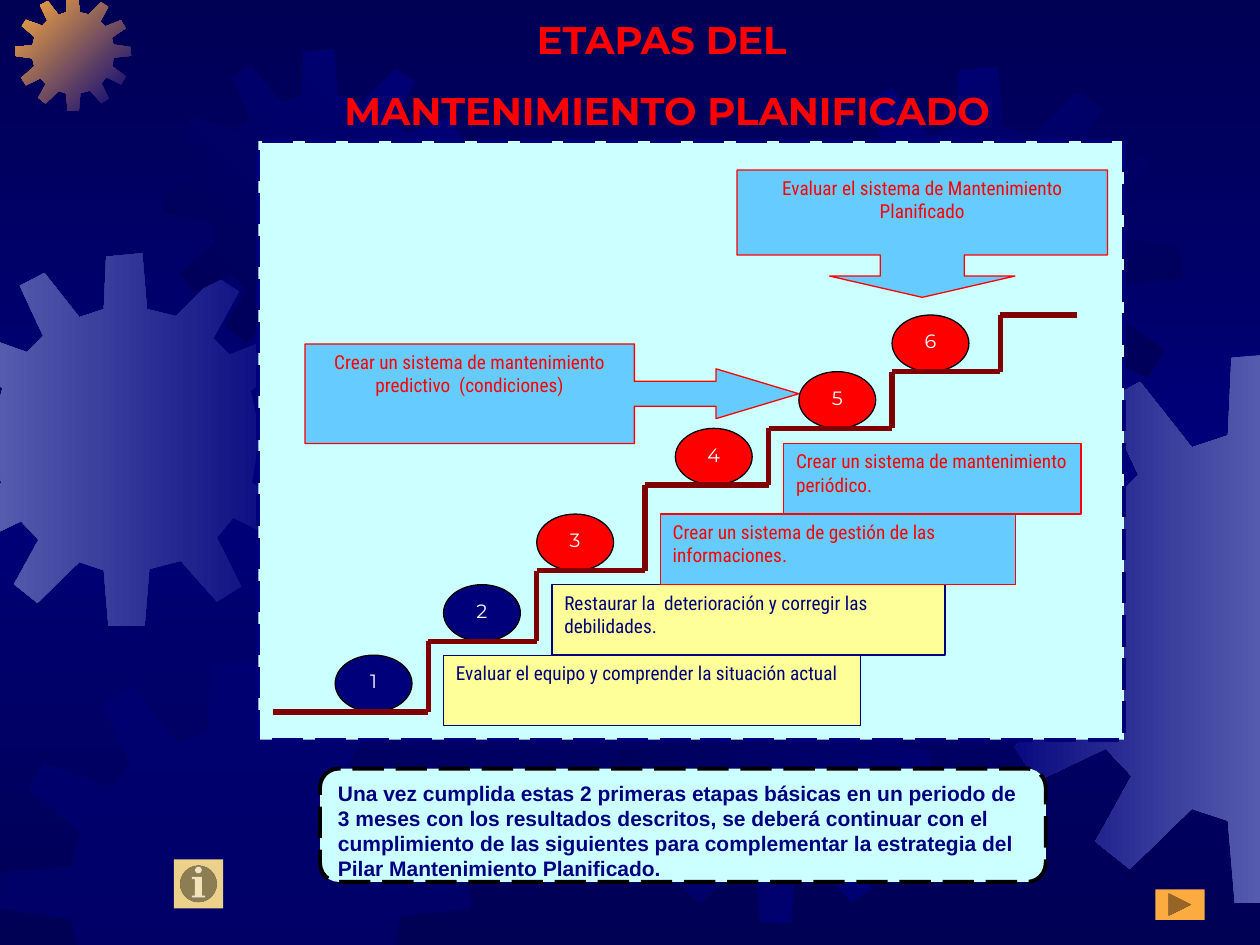
from copy import deepcopy
from dataclasses import dataclass
from itertools import pairwise

from lxml import etree
from pptx import Presentation
from pptx import util as u
from pptx.dml.color import RGBColor
from pptx.enum import dml, shapes, text
from pptx.oxml import ns


@dataclass(frozen=True)
class Theme:
    night: str = "000054"
    navy: str = "00007A"
    ink: str = "000080"
    haze: str = "555BAD"
    orange: str = "FCAB40"
    sand: str = "EBD189"
    ice: str = "CCFFFF"
    sky: str = "66CCFF"
    cream: str = "FFFF99"
    red: str = "FF0000"
    maroon: str = "800000"
    black: str = "000000"
    white: str = "FFFFFF"
    head: str = "Montserrat"
    label: str = "Roboto Condensed"
    body: str = "Arial"
    title_size: float = 22
    label_size: float = 11
    note_size: float = 12
    title_gap: float = 13.8


T = Theme()
KIND = shapes.MSO_SHAPE
GEAR_SIZE = 320
GEAR = [
    (203, 54), (178, 48), (174, 0), (143, 3), (141, 48), (120, 55), (90, 17), (69, 28),
    (89, 71), (75, 85), (30, 69), (19, 86), (54, 116), (48, 139), (1, 143), (0, 168),
    (48, 175), (53, 197), (17, 229), (30, 249), (70, 230), (85, 246), (64, 284), (84, 300),
    (120, 265), (141, 272), (145, 320), (176, 320), (180, 271), (207, 264), (238, 299), (259, 286),
    (238, 244), (252, 227), (293, 247), (306, 225), (268, 197), (272, 173), (320, 168), (319, 144),
    (271, 137), (267, 118), (305, 92), (292, 70), (249, 87), (235, 73), (257, 33), (237, 20),
]
GEARS = [
    (-0.48, 2.01, 2.96, (T.navy, T.haze), 180),
    (0.12, -0.04, 0.92, (T.navy, T.orange), 225),
    (1.3, 0.39, 2.48, (T.navy, T.night), 135),
    (0, 5.25, 3.74, (T.navy,), 0),
    (4.91, 4.84, 2.48, (T.navy, T.night), 225),
    (6.18, 0.53, 3.2, (T.night, T.navy), 225),
    (7.82, 2.8, 4.37, (T.haze, T.navy), 180),
]
STEP_X = [2.17, 3.4, 4.26, 5.12, 6.1, 7.08, 7.94, 8.55]
STEP_Y = [5.65, 5.09, 4.53, 3.85, 3.4, 2.95, 2.5]
BALL_X = [2.66, 3.52, 4.26, 5.36, 6.34, 7.08]
BALL_W, BALL_H = 0.61, 0.45
LABEL_H, LABEL_GAP, LABEL_TOP = 0.56, 0.12, 5.2
LABELS = [
    ("Evaluar el equipo y comprender la situación actual", 3.31, T.cream, T.navy),
    ("Restaurar la  deterioración y corregir las debilidades.", 3.12, T.cream, T.navy),
    ("Crear un sistema de gestión de las informaciones.", 2.82, T.sky, T.red),
    ("Crear un sistema de mantenimiento periódico.", 2.36, T.sky, T.red),
]
CALLOUTS = [
    ("Crear un sistema de mantenimiento predictivo  (condiciones)",
     KIND.RIGHT_ARROW_CALLOUT, (2.42, 2.73, 3.92, 0.79), (0.25, 0.25, 0.832, 0.667)),
    ("Evaluar el sistema de Mantenimiento Planificado",
     KIND.DOWN_ARROW_CALLOUT, (5.85, 1.35, 2.94, 1.01), (0.661, 0.728, 0.167, 0.667)),
]


def rgb(color):
    return RGBColor.from_string(color)


def paint(fill, colors, angle):
    fill.gradient()
    stops = fill.gradient_stops
    for stop, color in zip(stops, colors):
        stop.color.rgb = rgb(color)
    fill.gradient_angle = (360 - angle) % 360


def write(p, content, font, size, color, bold=False, align=text.PP_ALIGN.LEFT):
    p.text = content
    p.alignment = align
    p.font.name, p.font.size, p.font.bold = font, u.Pt(size), bold
    p.font.color.rgb = rgb(color)


def add_box(s, kind, box, fill, line=None, weight=0.75, dash=None):
    sp = s.shapes.add_shape(kind, *map(u.Inches, box))
    sp.shadow.inherit = False
    sp.fill.solid()
    sp.fill.fore_color.rgb = rgb(fill)
    if line:
        sp.line.color.rgb = rgb(line)
        sp.line.width = u.Pt(weight)
        sp.line.dash_style = dash
    else:
        sp.line.fill.background()
    tf = sp.text_frame
    tf.word_wrap = True
    tf.vertical_anchor = text.MSO_ANCHOR.TOP
    return sp


def clip(points, axis, limit, sign):
    kept = []
    for a, b in pairwise(points + points[:1]):
        da, db = sign * (limit - a[axis]), sign * (limit - b[axis])
        if da >= 0:
            kept.append(a)
        if da * db < 0:
            t = da / (da - db)
            kept.append(tuple(m + t * (n - m) for m, n in zip(a, b)))
    return kept


def add_gear(s, left, top, size, colors, angle):
    scale = size / GEAR_SIZE
    points = [(left + x * scale, top + y * scale) for x, y in GEAR]
    for axis, limit, sign in ((0, 0, -1), (0, 10, 1), (1, 0, -1), (1, 7.5, 1)):
        points = clip(points, axis, limit, sign)
    start, *rest = [tuple(map(u.Inches, point)) for point in points]
    builder = s.shapes.build_freeform(*start)
    builder.add_line_segments(rest, close=True)
    sp = builder.convert_to_shape()
    sp.shadow.inherit = False
    sp.line.fill.background()
    if len(colors) > 1:
        paint(sp.fill, colors, angle)
    else:
        sp.fill.solid()
        sp.fill.fore_color.rgb = rgb(colors[0])
        tint = sp.fill._xPr.find(".//" + ns.qn("a:srgbClr"))
        etree.SubElement(tint, ns.qn("a:alpha"), val="50000")


def add_background(s):
    fill = s.background.fill
    paint(fill, (T.night, T.night), 90)
    stops = fill._fill._gradFill.find(ns.qn("a:gsLst"))
    stops.insert(1, deepcopy(stops[0]))
    middle = fill.gradient_stops[1]
    middle.position = 0.5
    middle.color.rgb = rgb(T.navy)
    for gear in GEARS:
        add_gear(s, *gear)


def add_stairs(s):
    corners = [(STEP_X[0], STEP_Y[0])]
    for i, y in enumerate(STEP_Y):
        corners.append((STEP_X[i + 1], y))
        if i + 1 < len(STEP_Y):
            corners.append((STEP_X[i + 1], STEP_Y[i + 1]))
    for a, b in pairwise(corners):
        line = s.shapes.add_connector(shapes.MSO_CONNECTOR.STRAIGHT, *map(u.Inches, a + b))
        line.line.color.rgb = rgb(T.maroon)
        line.line.width = u.Pt(3)
        etree.SubElement(line._element.spPr, ns.qn("a:effectLst"))


def add_diagram(s, box):
    center = text.PP_ALIGN.CENTER
    add_box(s, KIND.RECTANGLE, box, T.ice, T.navy, 2.25, dml.MSO_LINE.LONG_DASH)
    for i, (x, y) in enumerate(zip(BALL_X, STEP_Y)):
        sp = add_box(s, KIND.OVAL, (x, y - BALL_H, BALL_W, BALL_H),
                     T.navy if i < 2 else T.red, T.black)
        write(sp.text_frame.paragraphs[0], str(i + 1), T.head, T.label_size, T.white, align=center)
    add_stairs(s)
    for i, (content, width, fill, color) in enumerate(LABELS):
        spot = (STEP_X[i + 1] + LABEL_GAP, LABEL_TOP - i * LABEL_H, width, LABEL_H)
        sp = add_box(s, KIND.RECTANGLE, spot, fill, color)
        write(sp.text_frame.paragraphs[0], content, T.label, T.label_size, color)
    for content, kind, spot, adjustments in CALLOUTS:
        sp = add_box(s, kind, spot, T.sky, T.red)
        for i, value in enumerate(adjustments):
            sp.adjustments[i] = value
        write(sp.text_frame.paragraphs[0], content, T.label, T.label_size, T.red, align=center)


def add_note(s, box):
    sp = add_box(s, KIND.FLOWCHART_ALTERNATE_PROCESS, box, T.ice, T.black, 2.25,
                 dml.MSO_LINE.LONG_DASH)
    write(sp.text_frame.paragraphs[0],
          "Una vez cumplida estas 2 primeras etapas básicas en un periodo de 3 meses con los "
          "resultados descritos, se deberá continuar con el cumplimiento de las siguientes para "
          "complementar la estrategia del Pilar Mantenimiento Planificado.",
          T.body, T.note_size, T.ink, bold=True)


def add_title(s, box):
    sp = s.shapes.title
    sp.left, sp.top, sp.width, sp.height = map(u.Inches, box)
    s.shapes._spTree.append(sp._element)
    tf = sp.text_frame
    tf.vertical_anchor = text.MSO_ANCHOR.TOP
    tf.auto_size = text.MSO_AUTO_SIZE.NONE
    first, second = tf.paragraphs[0], tf.add_paragraph()
    for p, content in ((first, "ETAPAS DEL "), (second, "MANTENIMIENTO PLANIFICADO")):
        write(p, content, T.head, T.title_size, T.red, bold=True, align=text.PP_ALIGN.CENTER)
    second.space_before = u.Pt(T.title_gap)


def main():
    prs = Presentation()
    prs.slide_width, prs.slide_height = u.Inches(10), u.Inches(7.5)
    s = prs.slides.add_slide(prs.slide_layouts[5])
    add_background(s)
    add_box(s, KIND.ACTION_BUTTON_INFORMATION, (1.38, 6.82, 0.39, 0.39), T.sand)
    add_diagram(s, (2.05, 1.12, 6.87, 4.75))
    add_note(s, (2.54, 6.1, 5.76, 0.9))
    add_title(s, (0.67, 0.08, 9.25, 1.03))
    add_box(s, KIND.ACTION_BUTTON_FORWARD_OR_NEXT, (9.17, 7.06, 0.39, 0.24), T.orange)
    prs.save("out.pptx")


if __name__ == "__main__":
    main()
